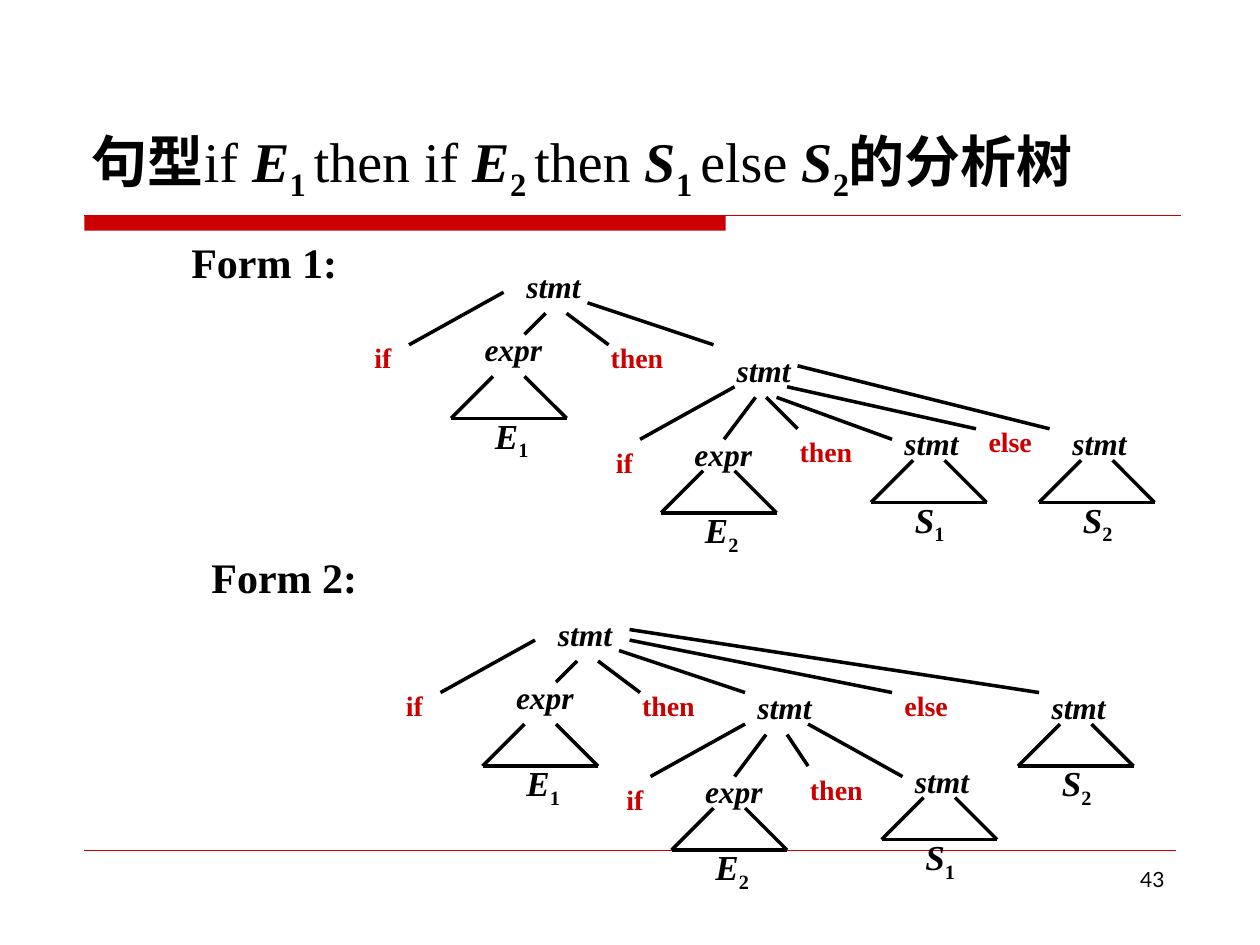
from lxml import etree
from pptx import Presentation
from pptx.dml.color import RGBColor
from pptx.enum.shapes import MSO_CONNECTOR, MSO_SHAPE
from pptx.enum.text import MSO_ANCHOR, PP_ALIGN
from pptx.oxml.ns import qn
from pptx.util import Inches, Pt

STRAIGHT = MSO_CONNECTOR.STRAIGHT
RECTANGLE = MSO_SHAPE.RECTANGLE
TOP, BOTTOM = MSO_ANCHOR.TOP, MSO_ANCHOR.BOTTOM
LEFT, CENTER, RIGHT = PP_ALIGN.LEFT, PP_ALIGN.CENTER, PP_ALIGN.RIGHT

COLORS = {"black": "000000", "red": "CC0000"}
SERIF, SANS = "Times New Roman", "Lato"
GRID = 1 / 12  # tree coordinates count twelfths of an inch from the root

# Run styles: B bold, I bold italic, R regular, S bold subscript
TITLE = [("句型", "B"), ("if ", "R"), ("E", "I"), ("1 ", "S"),
         ("then if ", "R"), ("E", "I"), ("2 ", "S"), ("then ", "R"),
         ("S", "I"), ("1 ", "S"), ("else ", "R"), ("S", "I"), ("2", "S"),
         ("的分析树", "B")]

# Node kinds: height, size, style, colour
KEYWORD = (0.37, 16, "B", "red")
SYMBOL = (0.4, 18, "I", "black")
KINDS = {"if": KEYWORD, "then": KEYWORD, "else": KEYWORD,
         "stmt": SYMBOL, "expr": SYMBOL}

# The upper part is the same in both trees
SHARED_NODES = [("stmt", 0, 0), ("expr", -4, 6), ("then", 8, 7), ("if", -17, 7)]
SHARED_EDGES = [(-1, 3, -10, 8), (3, 5, 1, 7), (5, 5, 9, 8), (7, 4, 19, 8)]
SHARED_SUBTREES = [("E", "1", -4, 11)]

# Subtrees: letter, index, column of the node above, row of the apex
FORMS = [
    {
        "heading": ("Form 1:", 1.42, 1.83),
        "root": (4.08, 2.07),
        "nodes": [("stmt", 20, 8), ("expr", 16, 16), ("then", 26, 16),
                  ("if", 6, 17), ("stmt", 36, 15), ("else", 44, 15),
                  ("stmt", 52, 15)],
        "edges": [(21, 12, 12, 17), (23, 13, 20, 17), (24, 13, 27, 16),
                  (25, 13, 36, 17), (26, 12, 44, 16), (27, 10, 51, 16)],
        "subtrees": [("E", "2", 16, 20), ("S", "1", 36, 19), ("S", "2", 52, 19)],
    },
    {
        "heading": ("Form 2:", 1.58, 4.33),
        "root": (4.33, 4.83),
        "nodes": [("stmt", 19, 7), ("else", 33, 7), ("stmt", 47, 7),
                  ("expr", 14, 15), ("then", 24, 15), ("if", 4, 16),
                  ("stmt", 34, 14)],
        "edges": [(8, 3, 33, 8), (8, 2, 47, 8), (19, 11, 10, 16),
                  (21, 12, 18, 16), (23, 12, 25, 15), (25, 11, 34, 16)],
        "subtrees": [("S", "2", 47, 11), ("E", "2", 14, 19), ("S", "1", 34, 18)],
    },
]

prs = Presentation()
prs.slide_width, prs.slide_height = Inches(10), Inches(7.5)
s = prs.slides.add_slide(prs.slide_layouts[6])


def add_text(runs, left, top, width, height, size, color="black",
             font=SERIF, align=LEFT, anchor=TOP):
    box = s.shapes.add_textbox(Inches(left), Inches(top),
                               Inches(width), Inches(height))
    tf = box.text_frame
    tf.word_wrap = True
    tf.vertical_anchor = anchor
    p = tf.paragraphs[0]
    p.alignment = align
    p.font.name, p.font.size = font, Pt(size)
    p.font.color.rgb = RGBColor.from_string(COLORS[color])
    for text, style in runs:
        r = p.add_run()
        r.text = text
        r.font.bold = style != "R"
        r.font.italic = style == "I"
        if style == "S":
            r.font._element.set("baseline", "-25000")


def add_line(x1, y1, x2, y2, color="black", weight=2):
    line = s.shapes.add_connector(STRAIGHT, Inches(x1), Inches(y1),
                                  Inches(x2), Inches(y2))
    line.line.color.rgb = RGBColor.from_string(COLORS[color])
    line.line.width = Pt(weight)
    etree.SubElement(line._element.spPr, qn("a:effectLst"))


def draw_form(form):
    root_x, root_y = form["root"]

    def place(col, row):
        return root_x + col * GRID, root_y + row * GRID

    heading, left, top = form["heading"]
    add_text([(heading, "B")], left, top, 2.25, 0.5, 24)

    for word, col, row in SHARED_NODES + form["nodes"]:
        height, size, style, color = KINDS[word]
        add_text([(word, style)], *place(col, row), 0.75, height, size, color,
                 align=CENTER if word == "if" else LEFT)

    # Each subtree is an open-topped triangle with its label below
    edges = SHARED_EDGES + form["edges"]
    for letter, index, col, row in SHARED_SUBTREES + form["subtrees"]:
        base = row + 4
        edges = edges + [(col + 2, row, col - 2, base),
                         (col + 5, row, col + 9, base),
                         (col - 2, base, col + 9, base)]
        add_text([(letter, "I"), (index, "S")], *place(col + 1, row + 3),
                 0.5, 0.48, 20)

    for x1, y1, x2, y2 in edges:
        add_line(*place(x1, y1), *place(x2, y2))


# Title rule, footer rule and page number
bar = s.shapes.add_shape(RECTANGLE, Inches(0.67), Inches(1.71),
                         Inches(5.09), Inches(0.12))
bar.shadow.inherit = False
bar.fill.solid()
bar.fill.fore_color.rgb = RGBColor.from_string(COLORS["red"])
bar.line.fill.background()
add_line(0.67, 1.71, 9.37, 1.71, "red", 0.75)
add_line(0.67, 6.75, 9.33, 6.75, "red", 0.25)
add_text([("43", "R")], 7.17, 6.83, 2.17, 0.52, 12, font=SANS, align=RIGHT)

# Title and parse trees
add_text(TITLE, 0.63, 0.33, 8.75, 1.33, 32, anchor=BOTTOM)
for form in FORMS:
    draw_form(form)

prs.save("out.pptx")
